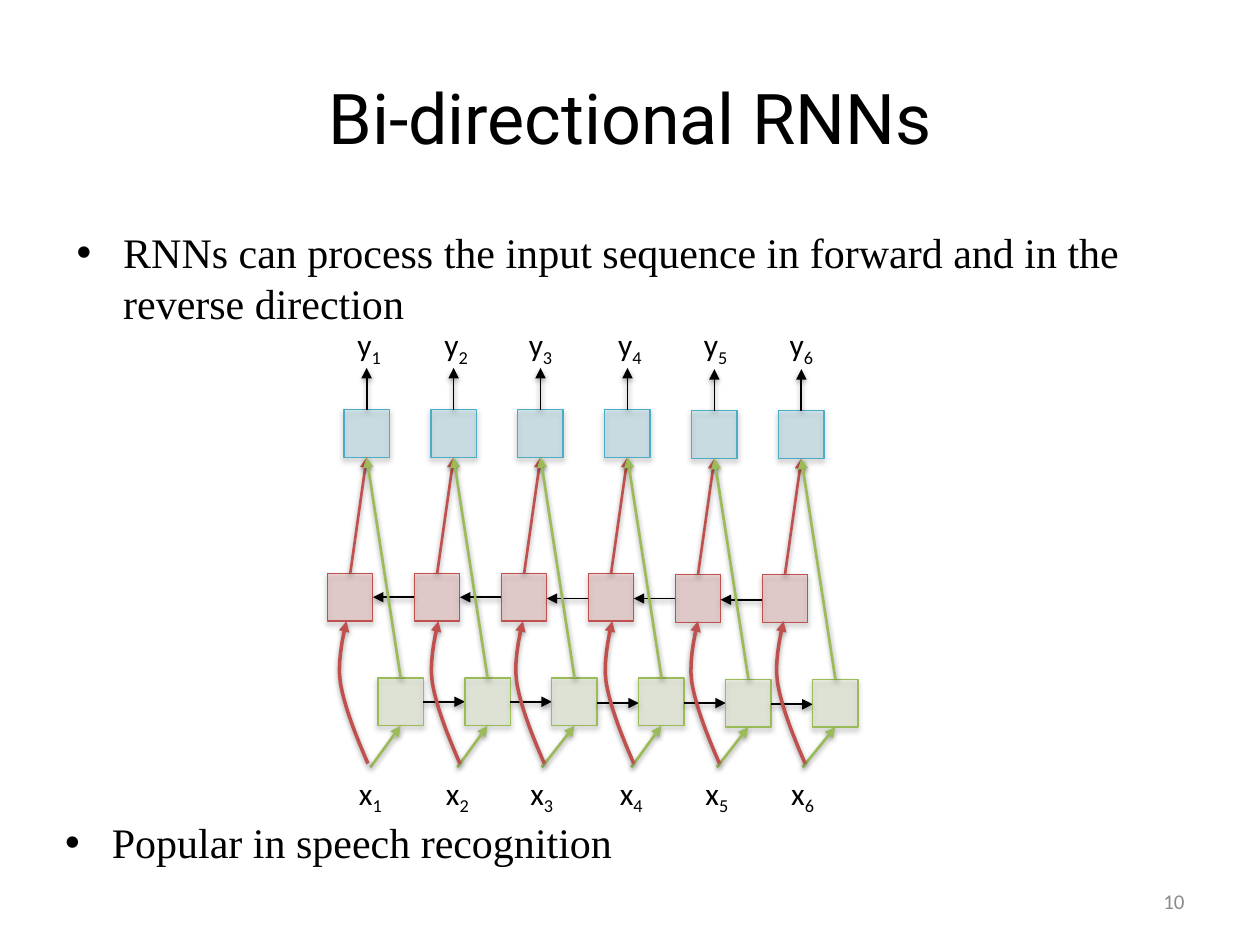
import pptx
import pptx.util
import pptx.dml.color
import pptx.enum.shapes
import pptx.enum.text
import pptx.oxml
import pptx.oxml.ns

TITLE = "Bi-directional RNNs"
POINTS = [
    ("RNNs can process the input sequence in forward and in the reverse direction",
     (0.5, 1.75, 9.5, 1.15)),
    ("Popular in speech recognition", (0.41, 6.43, 9.5, 0.75)),
]
PAGE = "10"
STEPS = 6
LABELS = (2.72, 3.41, 4.08, 4.79, 5.47, 6.15)
ROWS = {"out": (2.73, 3.25), "back": (2.6, 4.55), "fore": (3.0, 5.38)}
GAP, WIDE, HIGH = 0.69, 0.36, 0.38
BEND = ((0, 6.06), (-0.1, 5.83), (-0.19, 5.6), (-0.22, 5.41),
        (-0.25, 5.23), (-0.17, 4.93), (-0.17, 4.93))
THEME = {
    "out": ("93CDDD", "4BACC6"),
    "back": ("D99694", "C0504D"),
    "fore": ("D7E4BD", "9BBB59"),
    "ink": "000000", "pale": "8B8B8B",
    "head": ("Roboto", 40), "body": ("Times New Roman", 24),
    "tag": ("Calibri", 18), "page": ("Calibri", 12),
    "thin": 0.99, "mid": 1.5, "bold": 2, "edge": 0.75,
}
ALIGN = pptx.enum.text.PP_ALIGN
ANCHOR = pptx.enum.text.MSO_ANCHOR
KINDS = pptx.enum.shapes
NS = pptx.oxml.ns.nsdecls("a")
inch = pptx.util.Inches

deck = pptx.Presentation()
deck.slide_width, deck.slide_height = inch(10), inch(7.5)
page = deck.slides.add_slide(deck.slide_layouts[6])
shapes = page.shapes


def rgb(code):
    return pptx.dml.color.RGBColor.from_string(code)


def shade(shape, alpha, drop):
    props = shape._element.spPr
    for old in props.findall(pptx.oxml.ns.qn("a:effectLst")):
        props.remove(old)
    props.append(pptx.oxml.parse_xml(
        f'<a:effectLst {NS}><a:outerShdw blurRad="39370" dist="{int(drop * 12700)}" '
        f'dir="5400000" rotWithShape="0"><a:srgbClr val="000000">'
        f'<a:alpha val="{alpha}000"/></a:srgbClr></a:outerShdw></a:effectLst>'))


def write(area, runs, style, align, tone="ink", anchor=ANCHOR.TOP, wrap=True):
    frame = shapes.add_textbox(*map(inch, area)).text_frame
    frame.word_wrap = wrap
    frame.vertical_anchor = anchor
    para = frame.paragraphs[0]
    para.alignment = align
    face, size = THEME[style]
    for text, base in runs:
        run = para.add_run()
        run.text = text
        run.font.name, run.font.size = face, pptx.util.Pt(size)
        run.font.color.rgb = rgb(THEME[tone])
        if base:
            run._r.get_or_add_rPr().set("baseline", str(base * 1000))
    return para


def bullet(text, area):
    para = write(area, [(text, 0)], "body", ALIGN.LEFT)
    para.space_before = pptx.util.Pt(4.8)
    props = para._p.get_or_add_pPr()
    props.set("marL", str(inch(0.38)))
    props.set("indent", str(inch(-0.37)))
    for part in (f'<a:buClr {NS}><a:srgbClr val="{THEME["ink"]}"/></a:buClr>',
                 f'<a:buFont {NS} typeface="Arial"/>',
                 f'<a:buChar {NS} char="•"/>'):
        props.append(pptx.oxml.parse_xml(part))


def finish(shape, tone, width):
    shape.line.color.rgb = rgb(tone)
    shape.line.width = pptx.util.Pt(width)
    shape.line._get_or_add_ln().append(
        pptx.oxml.parse_xml(f'<a:tailEnd {NS} type="triangle"/>'))
    shade(shape, 38, 1.6)


def arrow(start, end, tone, width):
    line = shapes.add_connector(
        KINDS.MSO_CONNECTOR.STRAIGHT, *map(inch, start + end))
    finish(line, tone, width)


def bezier(a, b, c, d, count=16):
    for k in range(1, count + 1):
        t = k / count
        u = 1 - t
        yield tuple(int(u**3 * p + 3 * u * u * t * q + 3 * u * t * t * r + t**3 * s)
                    for p, q, r, s in zip(a, b, c, d))


def curve(x):
    knots = [(inch(x + dx), inch(y)) for dx, y in BEND]
    trail = [*bezier(*knots[:4]), *bezier(*knots[3:], count=8)]
    pen = shapes.build_freeform(*knots[0])
    pen.add_line_segments(trail, close=False)
    shape = pen.convert_to_shape()
    shape.fill.background()
    finish(shape, THEME["back"][1], THEME["bold"])


def place(row, i):
    left, top = ROWS[row]
    return left + GAP * i, top + (0.01 if i > 3 else 0)


def crown(row, i):
    x, y = place(row, i)
    return x + WIDE / 2, y


def base(row, i):
    x, y = crown(row, i)
    return x, y + HIGH


def box(row, i):
    x, y = place(row, i)
    shape = shapes.add_shape(KINDS.MSO_SHAPE.RECTANGLE,
                             *map(inch, (x, y, WIDE, HIGH)))
    fill, edge = THEME[row]
    shape.fill.solid()
    shape.fill.fore_color.rgb = rgb(fill)
    tint = shape._element.spPr.find(".//" + pptx.oxml.ns.qn("a:srgbClr"))
    tint.append(pptx.oxml.parse_xml(f'<a:alpha {NS} val="33000"/>'))
    shape.line.color.rgb = rgb(edge)
    shape.line.width = pptx.util.Pt(THEME["edge"])
    shade(shape, 35, 1.8)


def link(row, i, flip):
    x, y = place(row, i)
    y += HIGH / 2 + (0.01 if i > 1 else 0)
    ends = [(x + WIDE, y), (x + GAP, y)]
    arrow(*(ends[::-1] if flip else ends), THEME["ink"], THEME["thin"])


def tag(sign, i, top, shift=0):
    write((LABELS[i] + shift, top, 0.44, 0.44), [(sign, 0), (str(i + 1), -25)],
          "tag", ALIGN.CENTER, wrap=False)


def chain(row, flip):
    for i in range(STEPS):
        box(row, i)
        if i < STEPS - 1:
            link(row, i, flip)


write((0.5, 0.3, 9, 1.25), [(TITLE, 0)], "head", ALIGN.CENTER, anchor=ANCHOR.MIDDLE)
write((7.17, 6.95, 2.33, 0.4), [(PAGE, 0)], "page", ALIGN.RIGHT, "pale", ANCHOR.MIDDLE)
bullet(*POINTS[0])

chain("fore", False)
for i, left in enumerate(LABELS):
    arrow((left + 0.22, 6.09), base("fore", i), THEME["fore"][1], THEME["mid"])
    tag("x", i, 6.09)
for i in range(STEPS):
    box("out", i)
    x, y = crown("out", i)
    arrow((x, y), (x, y - 0.33), THEME["ink"], THEME["thin"])
    tag("y", i, 2.53, -0.01)
chain("back", True)
for i in range(STEPS):
    arrow(crown("back", i), base("out", i), THEME["back"][1], THEME["mid"])
for i, left in enumerate(LABELS):
    curve(left + (0.24 if i else 0.2))
for i in range(STEPS):
    arrow(crown("fore", i), base("out", i), THEME["fore"][1], THEME["mid"])

bullet(*POINTS[1])
deck.save("out.pptx")
